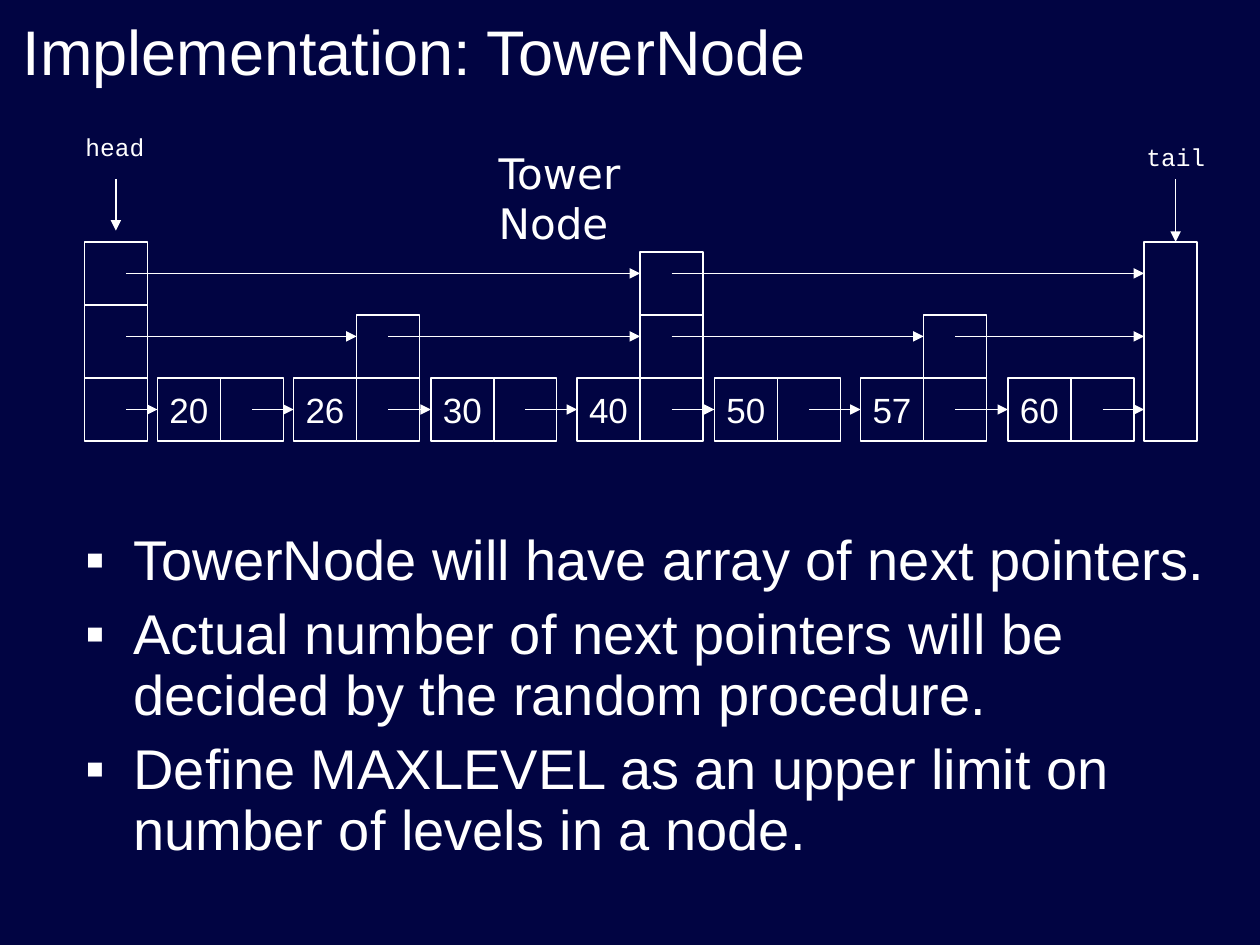
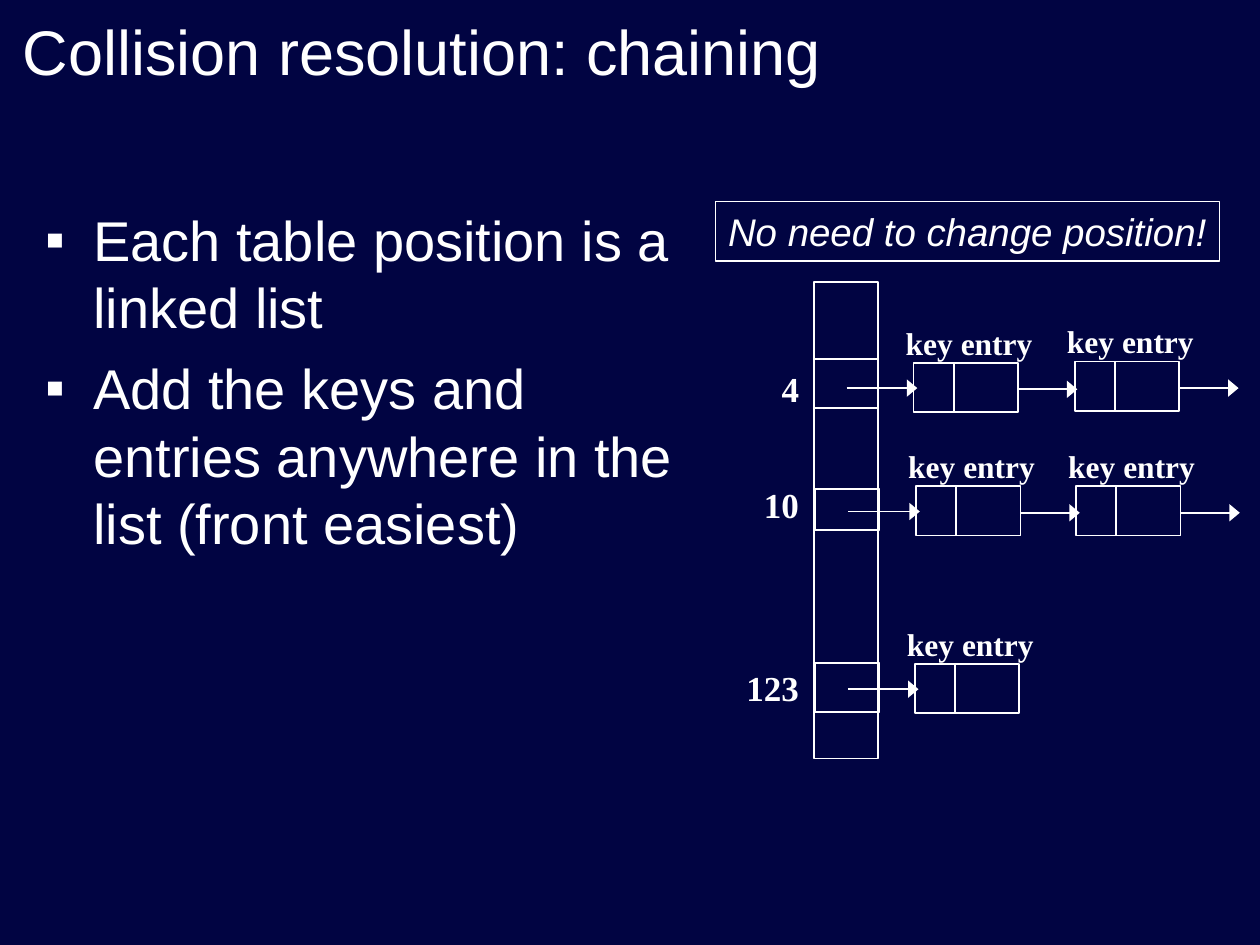
from lxml.etree import SubElement
from pptx import Presentation
from pptx.dml.color import RGBColor
from pptx.enum.shapes import MSO_CONNECTOR, MSO_SHAPE
from pptx.enum.text import MSO_ANCHOR, MSO_AUTO_SIZE, PP_ALIGN
from pptx.oxml.ns import qn
from pptx.util import Inches, Pt

COLORS = {"background": "010442", "foreground": "FFFFFF"}
SANS = "Arial"
SERIF = "Times New Roman"
MONO = "Courier New"
TOWER_FONT = "DejaVu Sans"

CELL = 0.5
BASE_TOP = 3
LEVEL_ARROW_Y = [3.25, 2.67, 2.17]
HEAD_LEFT = 0.67
TAIL_LEFT = 9.08
TOWER_NODES = [
    ("20", 1.25, 1),
    ("26", 2.33, 2),
    ("30", 3.42, 1),
    ("40", 4.58, 3),
    ("50", 5.67, 1),
    ("57", 6.83, 2),
    ("60", 8, 1),
]

ENTRY_WIDTH = 0.83
ENTRY_HEIGHT = 0.39
BUCKETS = [
    ("4", 2.87, (6.46, 2.85, 0.51, 0.39), [(7.25, 2.88), (8.53, 2.87)]),
    ("10", 3.79, (6.47, 3.88, 0.51, 0.33), [(7.27, 3.86), (8.54, 3.86)]),
    ("123", 5.24, (6.47, 5.26, 0.51, 0.39), [(7.26, 5.27)]),
]


def color(name):
    return RGBColor.from_string(COLORS[name])


def place(shape, left, top, width, height):
    shape.left, shape.top = Inches(left), Inches(top)
    shape.width, shape.height = Inches(width), Inches(height)


def style_font(paragraph, size, name=SANS, bold=False, italic=False):
    font = paragraph.font
    font.size, font.name = Pt(size), name
    font.bold, font.italic = bold, italic
    font.color.rgb = color("foreground")


def style_line(shape, weight):
    shape.line.color.rgb = color("foreground")
    shape.line.width = Pt(weight)


def add_slide(presentation, title):
    slide = presentation.slides.add_slide(presentation.slide_layouts[1])
    place(slide.shapes.title, 0.08, 0.08, 9.06, 0.67)
    frame = slide.shapes.title.text_frame
    frame.text = title
    frame.auto_size = MSO_AUTO_SIZE.NONE
    frame.vertical_anchor = MSO_ANCHOR.BOTTOM
    frame.paragraphs[0].alignment = PP_ALIGN.LEFT
    style_font(frame.paragraphs[0], 36)
    return slide


def add_bullet(paragraph):
    properties = paragraph._p.get_or_add_pPr()
    properties.set("marL", str(Inches(0.38)))
    properties.set("indent", str(-Inches(0.38)))
    bullet_color = SubElement(properties, qn("a:buClr"))
    SubElement(bullet_color, qn("a:srgbClr")).set("val", COLORS["foreground"])
    SubElement(properties, qn("a:buChar")).set("char", "▪")


def fill_body(slide, box, items, line_spacing=1.0):
    body = slide.placeholders[1]
    place(body, *box)
    frame = body.text_frame
    frame.text = "\n".join(items)
    frame.auto_size = MSO_AUTO_SIZE.NONE
    for index, paragraph in enumerate(frame.paragraphs):
        add_bullet(paragraph)
        paragraph.line_spacing = line_spacing
        paragraph.space_before = Pt(8 if index else 0)
        style_font(paragraph, 32)


def add_box(slide, left, top, width, height, weight):
    box = slide.shapes.add_shape(
        MSO_SHAPE.RECTANGLE, Inches(left), Inches(top), Inches(width), Inches(height)
    )
    box.shadow.inherit = False
    box.fill.background()
    style_line(box, weight)
    return box


def write(shape, text, size, alignment=PP_ALIGN.LEFT, anchor=MSO_ANCHOR.TOP,
          wrap=False, **font):
    frame = shape.text_frame
    frame.text = text
    frame.word_wrap = wrap
    frame.vertical_anchor = anchor
    frame.paragraphs[0].alignment = alignment
    style_font(frame.paragraphs[0], size, **font)


def add_label(slide, text, box, size, **options):
    label = slide.shapes.add_textbox(*map(Inches, box))
    write(label, text, size, **options)


def add_line(slide, start, end, weight, head_width=None):
    line = slide.shapes.add_connector(
        MSO_CONNECTOR.STRAIGHT, *map(Inches, (*start, *end))
    )
    style_line(line, weight)
    if head_width:
        head = SubElement(line.line._get_or_add_ln(), qn("a:tailEnd"))
        head.set("type", "triangle")
        head.set("w", head_width)
    SubElement(line._element.spPr, qn("a:effectLst"))


def add_tower_node(slide, value, left, levels):
    value_box = add_box(slide, left, BASE_TOP, CELL, CELL, 0.75)
    write(value_box, value, 20, PP_ALIGN.CENTER, MSO_ANCHOR.MIDDLE)
    for level in range(levels):
        add_box(slide, left + CELL, BASE_TOP - level * CELL, CELL, CELL, 0.75)


def add_level_arrows(slide, level, y):
    inset = CELL if level else 0
    nodes = [left for _, left, levels in TOWER_NODES if levels > level]
    starts = [1] + [left + 0.75 for left in nodes]
    ends = [left + inset for left in nodes] + [TAIL_LEFT]
    for start, end in zip(starts, ends):
        add_line(slide, (start, y), (end, y), 0.75, head_width="med")


def build_tower_slide(presentation):
    slide = add_slide(presentation, "Implementation: TowerNode")
    fill_body(slide, (0.58, 4.17, 9.42, 2.83), [
        "TowerNode will have array of next pointers.",
        "Actual number of next pointers will be decided by the random procedure.",
        "Define MAXLEVEL as an upper limit on number of levels in a node.",
    ], line_spacing=0.9)
    add_box(slide, HEAD_LEFT, 1.92, CELL, 0.5, 0.75)
    add_box(slide, HEAD_LEFT, 2.42, CELL, 1.08, 0.75)
    add_line(slide, (HEAD_LEFT, BASE_TOP), (HEAD_LEFT + CELL, BASE_TOP), 0.75)
    add_box(slide, TAIL_LEFT, 1.92, 0.42, 1.58, 0.75)
    for node in TOWER_NODES:
        add_tower_node(slide, *node)
    for level, y in enumerate(LEVEL_ARROW_Y):
        add_level_arrows(slide, level, y)
    add_label(slide, "head", (0.58, 1, 0.8, 0.34), 14, name=MONO)
    add_label(slide, "tail", (9, 1.08, 0.8, 0.34), 14, name=MONO)
    add_line(slide, (0.92, 1.42), (0.92, 1.83), 0.75, head_width="med")
    add_line(slide, (9.33, 1.42), (9.33, 1.92), 0.75, head_width="med")
    add_label(slide, "Tower Node", (3.86, 1.12, 1.4, 0.88), 24, wrap=True, name=TOWER_FONT)


def add_entry(slide, left, top):
    add_box(slide, left, top, ENTRY_WIDTH, ENTRY_HEIGHT, 1)
    divider = left + 0.32
    add_line(slide, (divider, top), (divider, top + ENTRY_HEIGHT), 1)
    add_label(slide, "key entry", (left - 0.16, top - 0.36, 1.4, 0.4), 18,
              wrap=True, name=SERIF, bold=True)


def add_bucket(slide, index, label_top, cell, entries):
    add_box(slide, *cell, 1)
    add_label(slide, index, (5.74, label_top, 0.7, 0.44), 20,
              alignment=PP_ALIGN.RIGHT, wrap=True, name=SERIF, bold=True)
    for left, top in entries:
        add_entry(slide, left, top)
    first_left, first_top = entries[0]
    y = first_top + 0.2
    add_line(slide, (cell[0] + 0.26, y), (first_left + 0.03, y), 1, head_width="lg")
    if len(entries) > 1:
        for left, top in entries:
            start, y = left + ENTRY_WIDTH, top + 0.21
            add_line(slide, (start, y), (start + 0.47, y), 1, head_width="lg")


def build_chaining_slide(presentation):
    slide = add_slide(presentation, "Collision resolution: chaining")
    fill_body(slide, (0.26, 1.58, 5.36, 4.56), [
        "Each table position is a linked list",
        "Add the keys and entries anywhere in the list (front easiest)",
    ])
    add_box(slide, 6.46, 2.24, 0.51, 3.78, 1)
    for bucket in BUCKETS:
        add_bucket(slide, *bucket)
    note = add_box(slide, 5.68, 1.6, 4, 0.47, 1)
    write(note, "No need to change position!", 22, italic=True)


def main():
    presentation = Presentation()
    presentation.slide_width, presentation.slide_height = Inches(10), Inches(7.5)
    background = presentation.slide_master.background.fill
    background.solid()
    background.fore_color.rgb = color("background")
    build_tower_slide(presentation)
    build_chaining_slide(presentation)
    presentation.save("out.pptx")


if __name__ == "__main__":
    main()
